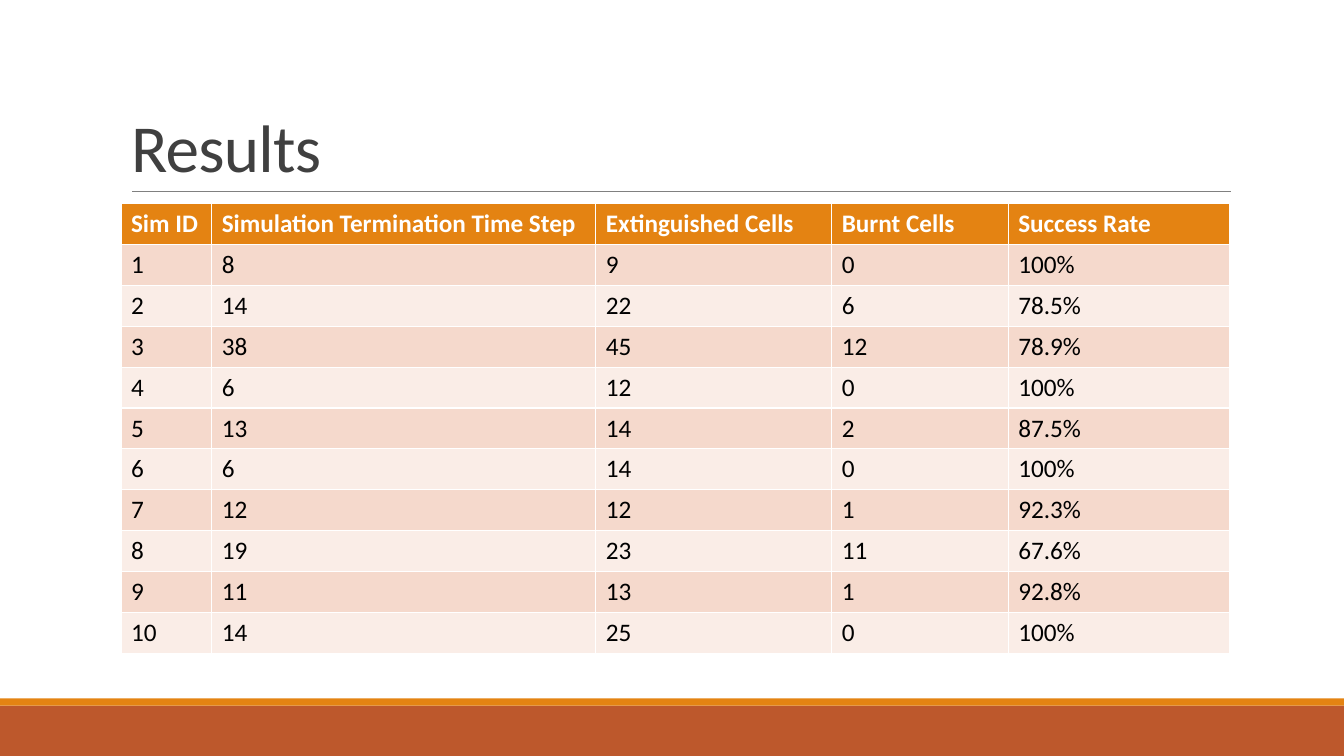
from pptx import Presentation
from pptx.dml.color import RGBColor
from pptx.enum.shapes import MSO_CONNECTOR, MSO_SHAPE
from pptx.enum.text import MSO_ANCHOR, MSO_AUTO_SIZE, PP_ALIGN
from pptx.oxml.ns import qn
from pptx.util import Inches, Pt
from lxml.etree import SubElement


def color(value):
    return RGBColor.from_string(value)


def format_text(para, size, value, bold=False):
    font = para.runs[0].font
    settings = {"name": "Calibri", "size": Pt(size), "bold": bold}
    for name, setting in settings.items():
        setattr(font, name, setting)
    font.color.rgb = color(value)


deck = Presentation()
deck.slide_width = Inches(13.33)
deck.slide_height = Inches(7.5)
page = deck.slides.add_slide(deck.slide_layouts[5])

# Footer bands
for top, height, fill in [(7, 0.5, "BD582C"), (6.93, 0.07, "E48312")]:
    band = page.shapes.add_shape(
        MSO_SHAPE.RECTANGLE, 0, Inches(top), deck.slide_width, Inches(height))
    band.shadow.inherit = False
    band.fill.solid()
    band.fill.fore_color.rgb = color(fill)
    band.line.fill.background()

# Rule under the title
rule = page.shapes.add_connector(
    MSO_CONNECTOR.STRAIGHT, Inches(1.31), Inches(1.9), Inches(12.21), Inches(1.9))
rule.line.color.rgb = color("808080")
rule.line.width = Pt(0.5)
SubElement(rule._element.spPr, qn("a:effectLst"))

# Title
title = page.shapes.title
bounds = {"left": 1.2, "top": 0.31, "width": 11, "height": 1.59}
for name, length in bounds.items():
    setattr(title, name, Inches(length))
box = title.text_frame
box.text = "Results"
box.word_wrap = True
box.auto_size = MSO_AUTO_SIZE.NONE
box.vertical_anchor = MSO_ANCHOR.BOTTOM
para = box.paragraphs[0]
para.alignment = PP_ALIGN.LEFT
para.line_spacing = 0.85
format_text(para, 48, "404040")
para.runs[0].font._element.set("spc", "-50")

# Results table
results = [
    ("Sim ID", "Simulation Termination Time Step", "Extinguished Cells",
     "Burnt Cells", "Success Rate"),
    ("1", "8", "9", "0", "100%"),
    ("2", "14", "22", "6", "78.5%"),
    ("3", "38", "45", "12", "78.9%"),
    ("4", "6", "12", "0", "100%"),
    ("5", "13", "14", "2", "87.5%"),
    ("6", "6", "14", "0", "100%"),
    ("7", "12", "12", "1", "92.3%"),
    ("8", "19", "23", "11", "67.6%"),
    ("9", "11", "13", "1", "92.8%"),
    ("10", "14", "25", "0", "100%"),
]
column_widths = [0.9, 3.81, 2.34, 1.75, 2.2]
table = page.shapes.add_table(
    len(results), len(column_widths),
    Inches(1.2), Inches(2.02), Inches(11), Inches(4.46)).table
for column, width in zip(table.columns, column_widths):
    column.width = Inches(width)

# The table style draws the white cell borders
for row, values in enumerate(results):
    header = row == 0
    fill = "E48312" if header else ("FAEDE7", "F5D9CC")[row % 2]
    for column, value in enumerate(values):
        cell = table.cell(row, column)
        cell.text = value
        cell.fill.solid()
        cell.fill.fore_color.rgb = color(fill)
        format_text(cell.text_frame.paragraphs[0], 18,
                    "FFFFFF" if header else "000000", header)

deck.save("out.pptx")
